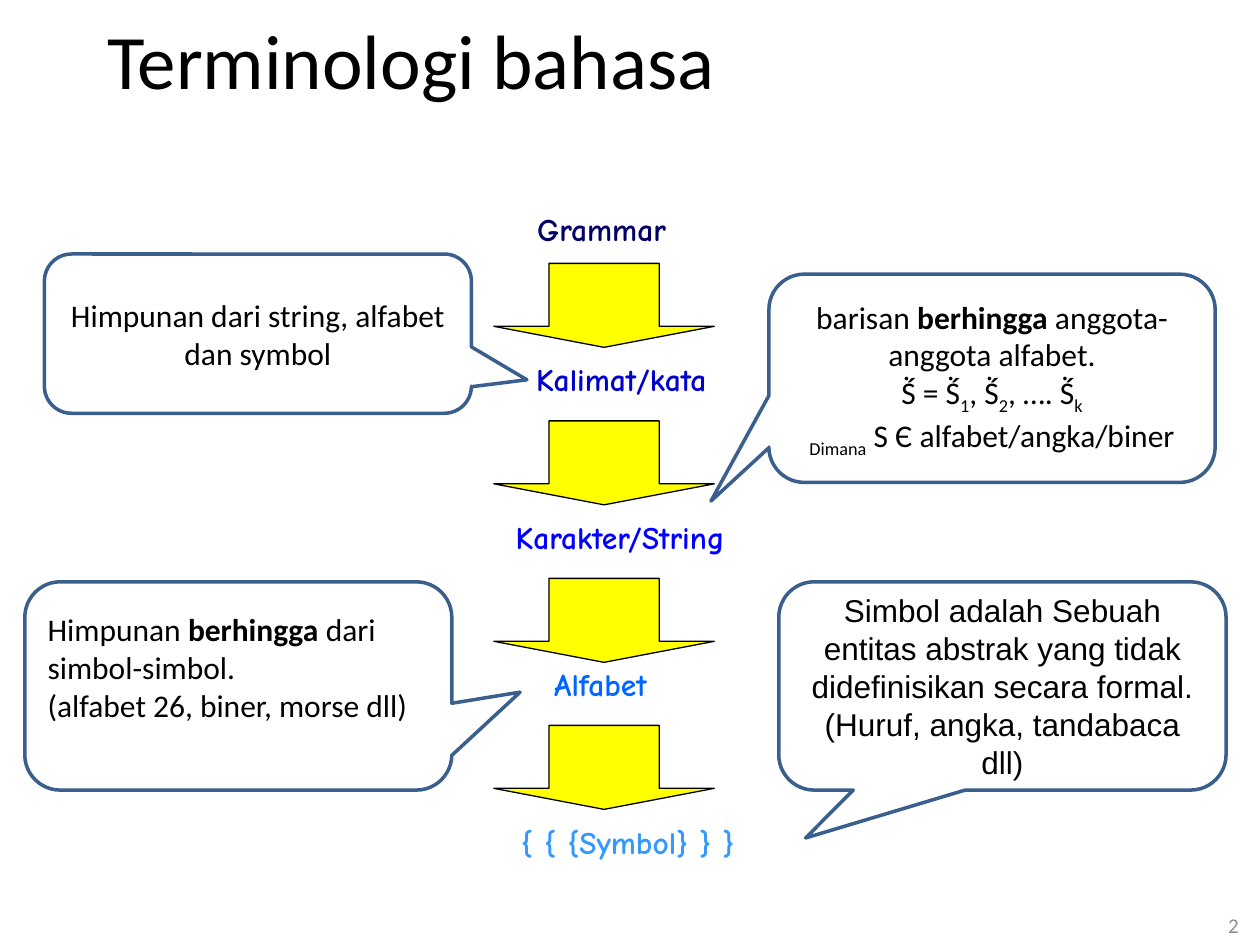
"""Builds the slide on language terminology, from grammar down to symbol."""
from pptx import Presentation
from pptx.dml.color import RGBColor as RGB
from pptx.enum.shapes import MSO_SHAPE as SHAPE
from pptx.enum.text import MSO_ANCHOR as ANCHOR, PP_ALIGN as ALIGN
from pptx.util import Pt

COLORS = {
    "ink": "000000", "paper": "FFFFFF", "arrow": "FFFF00", "outline": "3A5F8C",
    "number": "8C8C8C", "grammar": "000066", "sentence": "0000CC",
    "string": "0000FF", "alphabet": "0066FF", "symbol": "3399FF",
}
STYLES = {"plain": {}, "bold": {"bold": True}, "sub": {}}


def write(p, runs, color, align=ALIGN.CENTER, **font):
    p.alignment = align
    for text, style in runs:
        r = p.add_run()
        r.text = text
        for name, value in {**font, **STYLES[style]}.items():
            setattr(r.font, name, value)
        r.font.color.rgb = RGB.from_string(COLORS[color])
        if style == "sub":
            r.font._element.set("baseline", "-25000")


def add_shape(kind, box, adjustments, fill, line, width):
    sp = s.shapes.add_shape(kind, *map(Pt, box))
    sp.shadow.inherit = False
    for i, value in enumerate(adjustments):
        sp.adjustments[i] = value
    sp.fill.solid()
    sp.fill.fore_color.rgb = RGB.from_string(COLORS[fill])
    sp.line.color.rgb = RGB.from_string(COLORS[line])
    sp.line.width = Pt(width)
    return sp


prs = Presentation()
prs.slide_width, prs.slide_height = Pt(720), Pt(540)
s = prs.slides.add_slide(prs.slide_layouts[5])

title = s.shapes.title
title.left, title.top, title.width, title.height = map(Pt, (54, -23, 612, 113))
title.text_frame.vertical_anchor = ANCHOR.MIDDLE
write(title.text_frame.paragraphs[0], [("Terminologi bahasa", "plain")], "ink",
      ALIGN.LEFT, name="Calibri", size=Pt(44))

labels = [
    ("Grammar", "grammar", (293, 116.6, 130, 36), 14, ALIGN.LEFT),
    ("Kalimat/kata", "sentence", (292.3, 202.3, 135, 29), 14, ALIGN.LEFT),
    ("Karakter/String", "string", (139, 292.3, 430.5, 29), 7.2, ALIGN.CENTER),
    ("{ { {Symbol} } }", "symbol", (95.8, 466.6, 519, 29), 14, ALIGN.CENTER),
    ("Alfabet", "alphabet", (120.2, 376.6, 427, 36), 26, ALIGN.CENTER),
]
for text, color, box, inset, align in labels:
    tf = s.shapes.add_textbox(*map(Pt, box)).text_frame
    tf.word_wrap = True
    tf.margin_left = Pt(inset)
    write(tf.paragraphs[0], [(text, "plain")], color, align,
          name="Comic Neue", size=Pt(18), bold=True)

for top in (150.5, 240.5, 330.5, 414.5):
    add_shape(SHAPE.DOWN_ARROW, (282.2, top, 126, 48), (0.5, 0.25),
              "arrow", "ink", 0.75)

callouts = [
    ((445, 332.5, 255.6, 119), (-0.44, 0.73), "Arial", ALIGN.CENTER, 3.6, [
        [("Simbol adalah Sebuah entitas abstrak yang tidak "
          "didefinisikan secara formal.", "plain")],
        [("(Huruf, angka, tandabaca dll)", "plain")]]),
    ((14.2, 332.5, 244, 119), (0.66, 0.03), "Calibri", ALIGN.LEFT, 25, [
        [("Himpunan ", "plain"), ("berhingga ", "bold"),
         ("dari simbol-simbol.", "plain")],
        [("(alfabet 26, biner, morse dll)", "plain")]]),
    ((439.4, 156.7, 255, 119), (-0.63, 0.59), "Calibri", ALIGN.CENTER, 3.6, [
        [("barisan ", "plain"), ("berhingga ", "bold"),
         ("anggota-anggota alfabet.", "plain")],
        [("Ṥ = Ṥ", "plain"), ("1", "sub"), (", Ṥ", "plain"), ("2", "sub"),
         (", …. Ṥ", "plain"), ("k", "sub")],
        [("Dimana", "sub"), (" S Є alfabet/angka/biner", "plain")]]),
    ((25.4, 145.2, 244, 91), (0.63, 0.29), "Calibri", ALIGN.CENTER, 3.6, [
        [("Himpunan dari string, alfabet dan symbol", "plain")]]),
]
for box, tip, font, align, bottom, lines in callouts:
    sp = add_shape(SHAPE.ROUNDED_RECTANGULAR_CALLOUT, box, (*tip, 0.17),
                   "paper", "outline", 2)
    tf = sp.text_frame
    tf.word_wrap = True
    tf.vertical_anchor = ANCHOR.MIDDLE
    tf.margin_bottom = Pt(bottom)
    for i, runs in enumerate(lines):
        p = tf.add_paragraph() if i else tf.paragraphs[0]
        write(p, runs, "ink", align, name=font, size=Pt(18))

tf = s.shapes.add_textbox(Pt(551.5), Pt(517.7), Pt(163.5), Pt(22.3)).text_frame
tf.word_wrap = True
tf.vertical_anchor = ANCHOR.MIDDLE
write(tf.paragraphs[0], [("2", "plain")], "number", ALIGN.RIGHT,
      name="Calibri", size=Pt(12))

prs.save("out.pptx")
